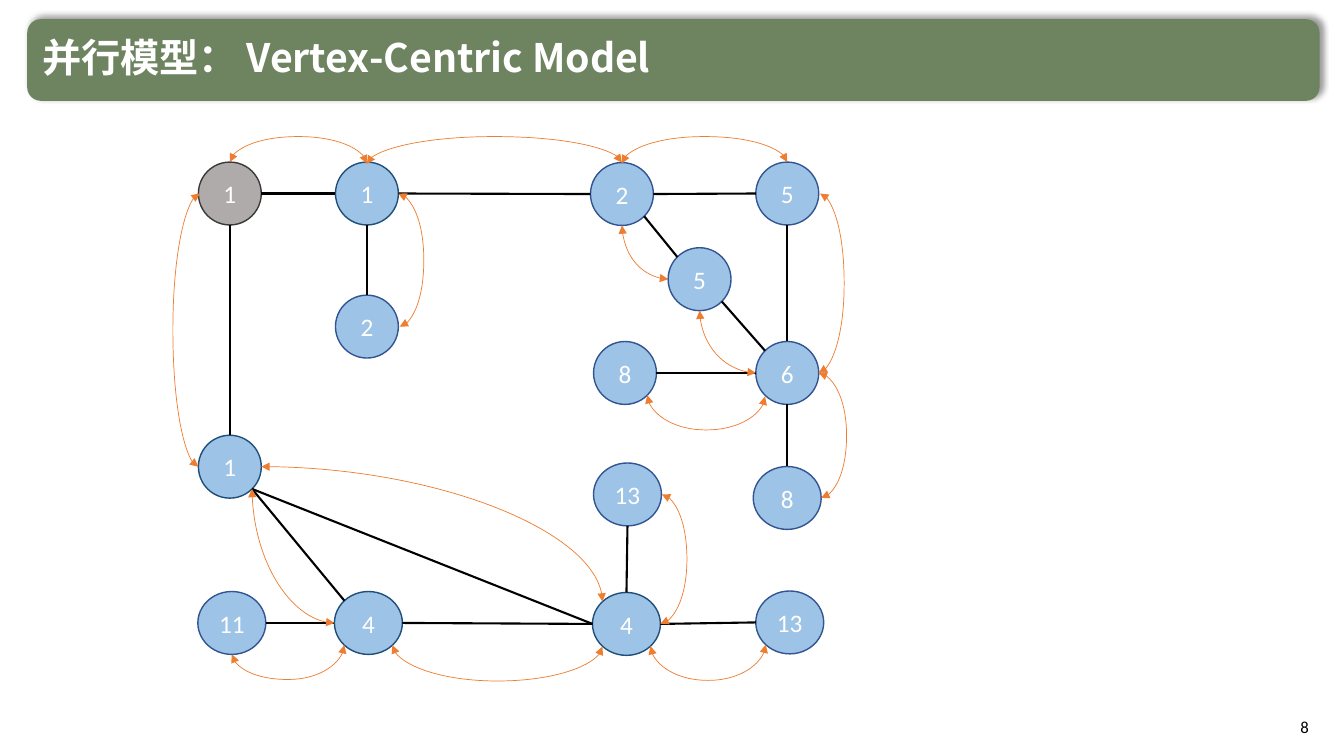
from dataclasses import dataclass
from math import sqrt

from lxml import etree
from pptx import Presentation
from pptx.dml.color import RGBColor
from pptx.enum.shapes import MSO_CONNECTOR, MSO_SHAPE
from pptx.enum.text import MSO_ANCHOR, PP_ALIGN
from pptx.oxml import parse_xml
from pptx.oxml.ns import nsdecls, qn
from pptx.util import Inches, Pt

ROUND_RECT, ELLIPSE = MSO_SHAPE.ROUNDED_RECTANGLE, MSO_SHAPE.OVAL
STRAIGHT, CURVE = MSO_CONNECTOR.STRAIGHT, MSO_CONNECTOR.CURVE
TOP, MIDDLE = MSO_ANCHOR.TOP, MSO_ANCHOR.MIDDLE
LEFT, CENTER, RIGHT = PP_ALIGN.LEFT, PP_ALIGN.CENTER, PP_ALIGN.RIGHT

UNIT = 0.1  # grid step in inches; every length below counts grid steps
SLIDE_W, SLIDE_H = 133.33, 75


@dataclass(frozen=True)
class Theme:
    banner: str = "6E8360"
    white: str = "FFFFFF"
    black: str = "000000"
    vertex: str = "9DC3E6"
    outline: str = "325491"
    active_outline: str = "1F4E79"
    start: str = "AFABAB"
    start_outline: str = "3B3838"
    message: str = "ED7D31"
    latin: str = "Calibri"
    heading: str = "Noto Sans CJK SC"
    title_size: float = 28
    vertex_size: float = 18
    number_size: float = 12
    outline_width: float = 1
    edge_width: float = 1.5
    message_width: float = 0.5


THEME = Theme()

# Vertex: label, centre column, centre row, width, fill, outline
BLUE = (THEME.vertex, THEME.outline)
ACTIVE = (THEME.vertex, THEME.active_outline)
START = (THEME.start, THEME.start_outline)
NARROW, WIDE, HEIGHT = 6.24, 6.74, 6.24
VERTICES = {
    "A": ("1", 3.1, 3.1, NARROW, *START),
    "B": ("1", 16.7, 3.1, NARROW, *ACTIVE),
    "C": ("2", 16.7, 16.3, NARROW, *BLUE),
    "D": ("2", 42, 3.15, NARROW, *BLUE),
    "E": ("5", 58.4, 3.1, NARROW, *BLUE),
    "F": ("5", 49.7, 11.6, NARROW, *BLUE),
    "G": ("6", 58.4, 20.9, NARROW, *BLUE),
    "H": ("8", 42.3, 20.9, NARROW, *BLUE),
    "I": ("1", 3.1, 30.2, NARROW, *ACTIVE),
    "J": ("11", 3.3, 45.7, WIDE, *BLUE),
    "K": ("4", 16.85, 45.7, WIDE, *ACTIVE),
    "L": ("13", 58.65, 45.65, WIDE, *BLUE),
    "M": ("4", 42.45, 45.8, WIDE, *ACTIVE),
    "N": ("13", 42.55, 32.95, WIDE, *BLUE),
    "O": ("8", 58.4, 33.3, WIDE, *BLUE),
}
# Ends are a vertex and a compass side of it
EDGES = ["A-E B-W", "B-S C-N", "A-S I-N", "I-SE K-NW", "I-SE M-W", "K-E M-W",
         "J-E K-W", "M-N N-S", "L-W M-E", "G-W H-E", "G-S O-N", "D-W B-E",
         "E-W D-E", "E-S G-N", "D-SE F-NW", "F-SE G-NW"]
# A third part names the side to which the message loop bulges
MESSAGES = ["I-W A-W W", "A-N B-N N", "B-E C-E E", "D-N B-N N", "E-N D-N N",
            "G-E E-E E", "D-S F-W", "F-S G-W", "I-SE K-W", "J-S K-SW S",
            "M-NW I-E", "M-E N-E E", "H-SE G-SW S", "O-E G-E E",
            "M-SE L-SW S", "K-SE M-SW S"]
COMPASS = {"N": (0, -1), "S": (0, 1), "W": (-1, 0), "E": (1, 0),
           "NW": (-1, -1), "SW": (-1, 1), "SE": (1, 1)}
BULGE, MIN_STEP = 2.5, 0.14


def grid(*steps):
    return [Inches(step * UNIT) for step in steps]


def write(shape, text, *, size, color, font=THEME.latin, bold=False,
          align=LEFT, anchor=MIDDLE, inset=1):
    frame = shape.text_frame
    frame.word_wrap = True
    frame.vertical_anchor = anchor
    frame.margin_left, frame.margin_right = grid(inset, inset)
    frame.margin_top, frame.margin_bottom = grid(inset / 2, inset / 2)
    paragraph = frame.paragraphs[0]
    paragraph.alignment = align
    run = paragraph.add_run()
    run.text = text
    run.font.name, run.font.size, run.font.bold = font, Pt(size), bold
    run.font.color.rgb = RGBColor.from_string(color)
    east_asian = etree.SubElement(run.font._element, qn("a:ea"))
    east_asian.set("typeface", font)


def add_filled(slide, kind, box, fill):
    shape = slide.shapes.add_shape(kind, *grid(*box))
    shape.shadow.inherit = False
    shape.fill.solid()
    shape.fill.fore_color.rgb = RGBColor.from_string(fill)
    return shape


def add_line(slide, kind, start, end, color, width):
    line = slide.shapes.add_connector(kind, *grid(*start, *end))
    line.line.color.rgb = RGBColor.from_string(color)
    line.line.width = Pt(width)
    etree.SubElement(line._element.spPr, qn("a:effectLst"))
    return line


def side_point(vertex, side):
    _, col, row, width, *_ = VERTICES[vertex]
    dx, dy = COMPASS[side]
    reach = 1 / sqrt(dx * dx + dy * dy)
    return col + dx * reach * width / 2, row + dy * reach * HEIGHT / 2


def add_message(slide, origin, first, last, bulge=None):
    """Curve with two arrowheads: a loop if it bulges, else a quarter turn."""
    ends = [end.split("-") for end in (first, last)]
    (x1, y1), (x2, y2) = [side_point(*end) for end in ends]
    sideways = bulge in ("W", "E")
    ratio = None
    if bulge:
        # The loop reaches a fixed distance beyond the outermost vertex side
        axis = 0 if sideways else 1
        sign = COMPASS[bulge][axis]
        reach = max(sign * side_point(v, bulge)[axis] for v, _ in ends)
        if sideways and abs(x2 - x1) < MIN_STEP:
            x2 = x1 + MIN_STEP
        elif not sideways and abs(y2 - y1) < MIN_STEP:
            y2 = y1 + MIN_STEP
        begin, finish = ((x1, x2) if sideways else (y1, y2))
        ratio = (sign * (reach + BULGE) - begin) / (finish - begin)
    dx, dy = x2 - x1, y2 - y1
    left, top = origin
    curve = add_line(slide, CURVE, (left + x1, top + y1),
                     (left + x2, top + y2), THEME.message, THEME.message_width)
    properties = curve._element.spPr
    if not sideways:
        # A vertical start is a horizontal one turned by a quarter
        width, height = abs(dy), abs(dx)
        curve.left, curve.top, curve.width, curve.height = grid(
            left + (x1 + x2 - width) / 2, top + (y1 + y2 - height) / 2,
            width, height)
        flip_h, flip_v = dy < 0, dx > 0
        quarter = 90 if flip_h and flip_v else 270
        if quarter == 270:
            flip_h, flip_v = not flip_h, not flip_v
        frame = properties.find(qn("a:xfrm"))
        frame.set("rot", str(quarter * 60000))
        frame.set("flipH", str(int(flip_h)))
        frame.set("flipV", str(int(flip_v)))
    geometry = properties.find(qn("a:prstGeom"))
    if ratio is None:
        geometry.set("prst", "curvedConnector2")
    else:
        guides = geometry.find(qn("a:avLst"))
        if guides is None:
            guides = etree.SubElement(geometry, qn("a:avLst"))
        etree.SubElement(guides, qn("a:gd"), name="adj1",
                         fmla=f"val {round(ratio * 100000)}")
    outline = properties.find(qn("a:ln"))
    for tip in ("a:headEnd", "a:tailEnd"):
        etree.SubElement(outline, qn(tip), type="triangle")


def build_banner(slide, box):
    left, top, width, height = box
    banner = add_filled(slide, ROUND_RECT, box, THEME.banner)
    banner.line.fill.background()
    effects = banner._element.spPr.find(qn("a:effectLst"))
    effects.append(parse_xml(
        f'<a:outerShdw {nsdecls("a")} blurRad="50800" dist="38100" '
        f'dir="18900000" algn="bl" rotWithShape="0"><a:srgbClr '
        f'val="{THEME.black}"><a:alpha val="40000"/></a:srgbClr></a:outerShdw>'))
    title = slide.shapes.add_textbox(
        *grid(left + 0.5, top + 0.9, width - 17.5, height - 1.9))
    write(title, "并行模型： Vertex-Centric Model", size=THEME.title_size,
          color=THEME.white, font=THEME.heading, bold=True, anchor=TOP)


def build_graph(slide, origin):
    left, top = origin
    for label, col, row, width, fill, outline in VERTICES.values():
        vertex = add_filled(slide, ELLIPSE, (
            left + col - width / 2, top + row - HEIGHT / 2, width, HEIGHT), fill)
        vertex.line.color.rgb = RGBColor.from_string(outline)
        vertex.line.width = Pt(THEME.outline_width)
        write(vertex, label, size=THEME.vertex_size, color=THEME.white,
              align=CENTER, inset=0)
    for edge in EDGES:
        start, end = [(left + x, top + y) for x, y in
                      (side_point(*end.split("-")) for end in edge.split())]
        add_line(slide, STRAIGHT, start, end, THEME.black, THEME.edge_width)
    for message in MESSAGES:
        add_message(slide, origin, *message.split())


def build_page_number(slide, box):
    number = slide.shapes.add_textbox(*grid(*box))
    write(number, "8", size=THEME.number_size, color=THEME.black, align=RIGHT)


def main():
    deck = Presentation()
    deck.slide_width, deck.slide_height = grid(SLIDE_W, SLIDE_H)
    slide = deck.slides.add_slide(deck.slide_layouts[6])
    build_banner(slide, (2.7, 1.9, 128.2, 8.1))
    build_graph(slide, (19.7, 16.1))
    build_page_number(slide, (SLIDE_W - 10.4, SLIDE_H - 4.9, 7.9, 4))
    deck.save("out.pptx")


if __name__ == "__main__":
    main()
